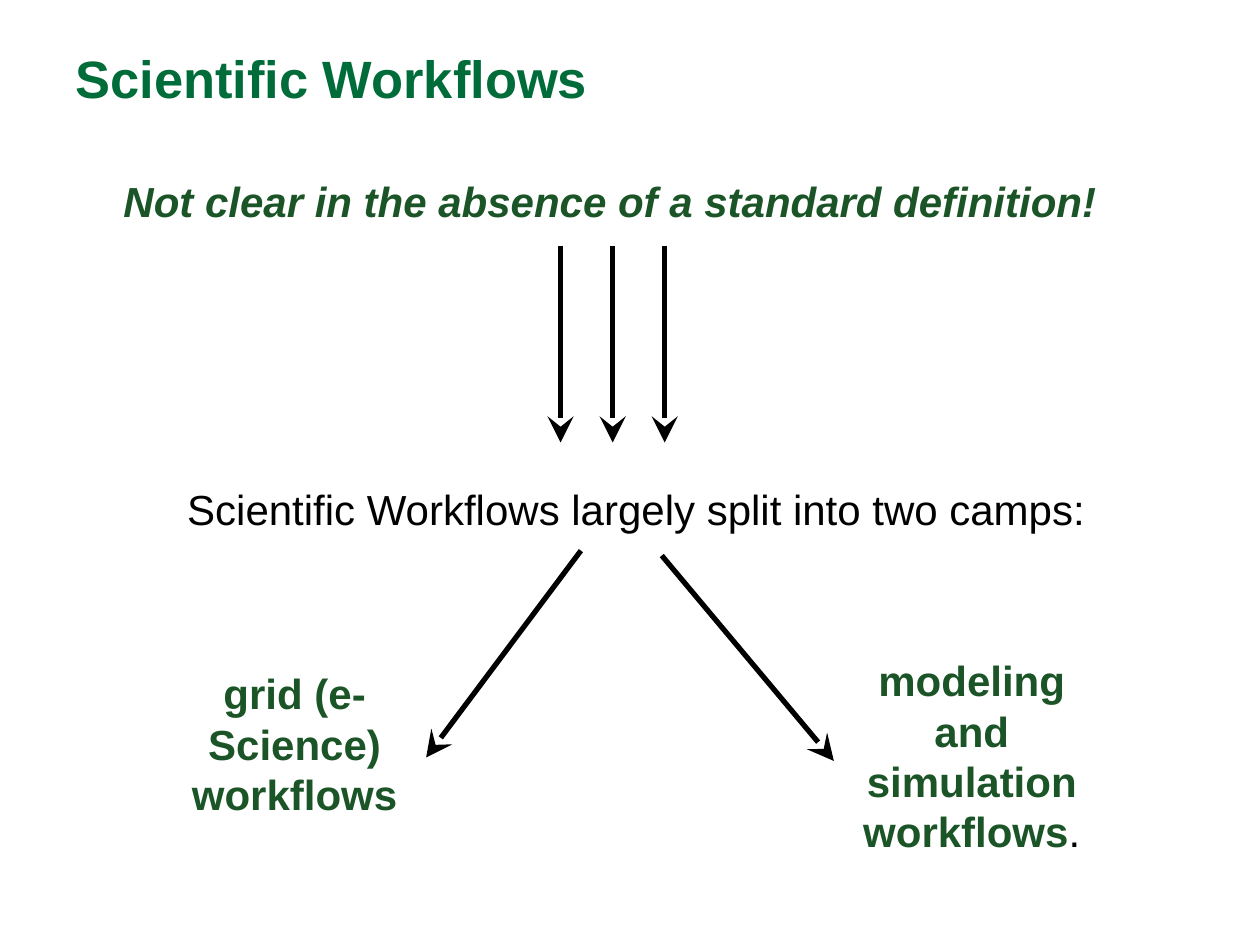
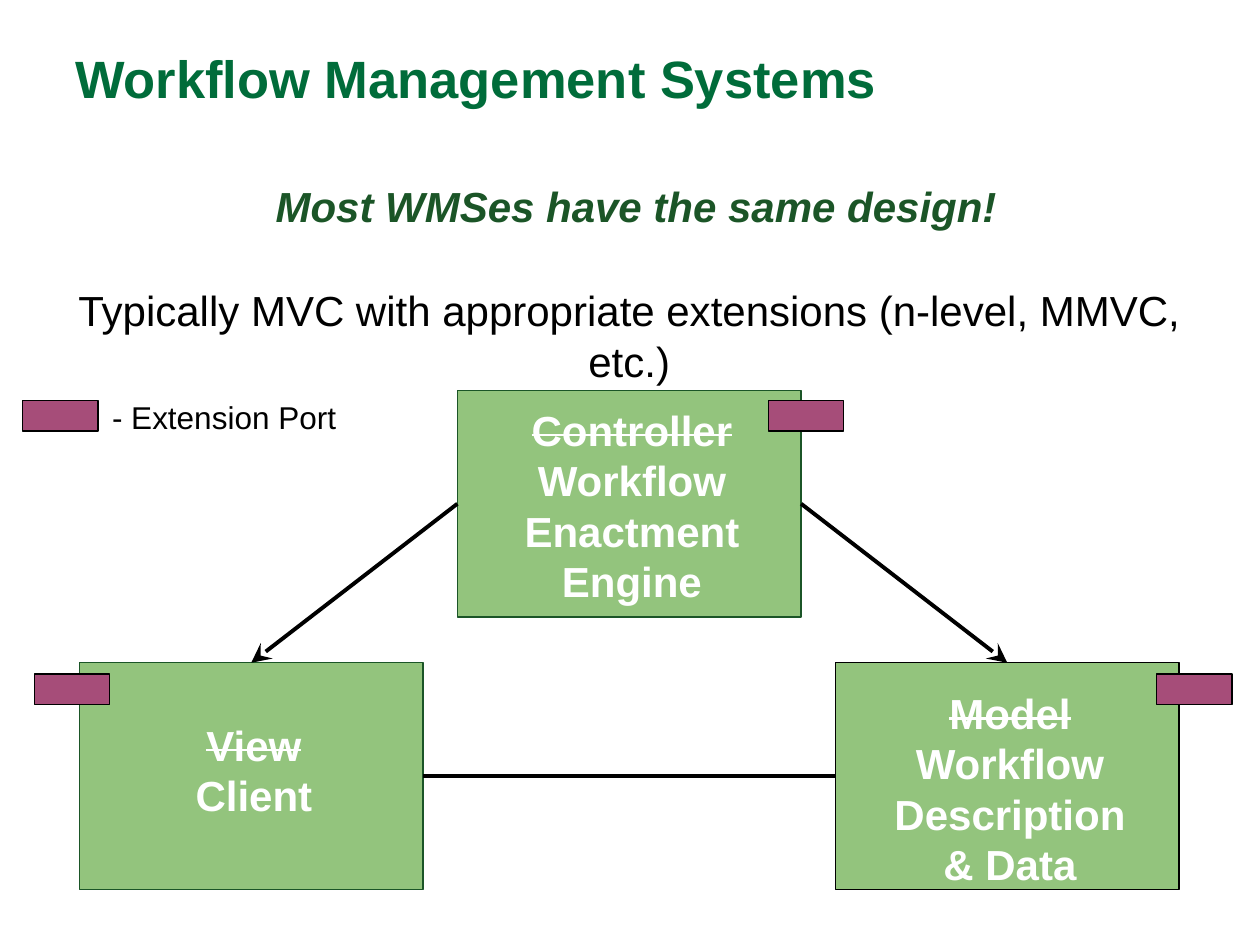
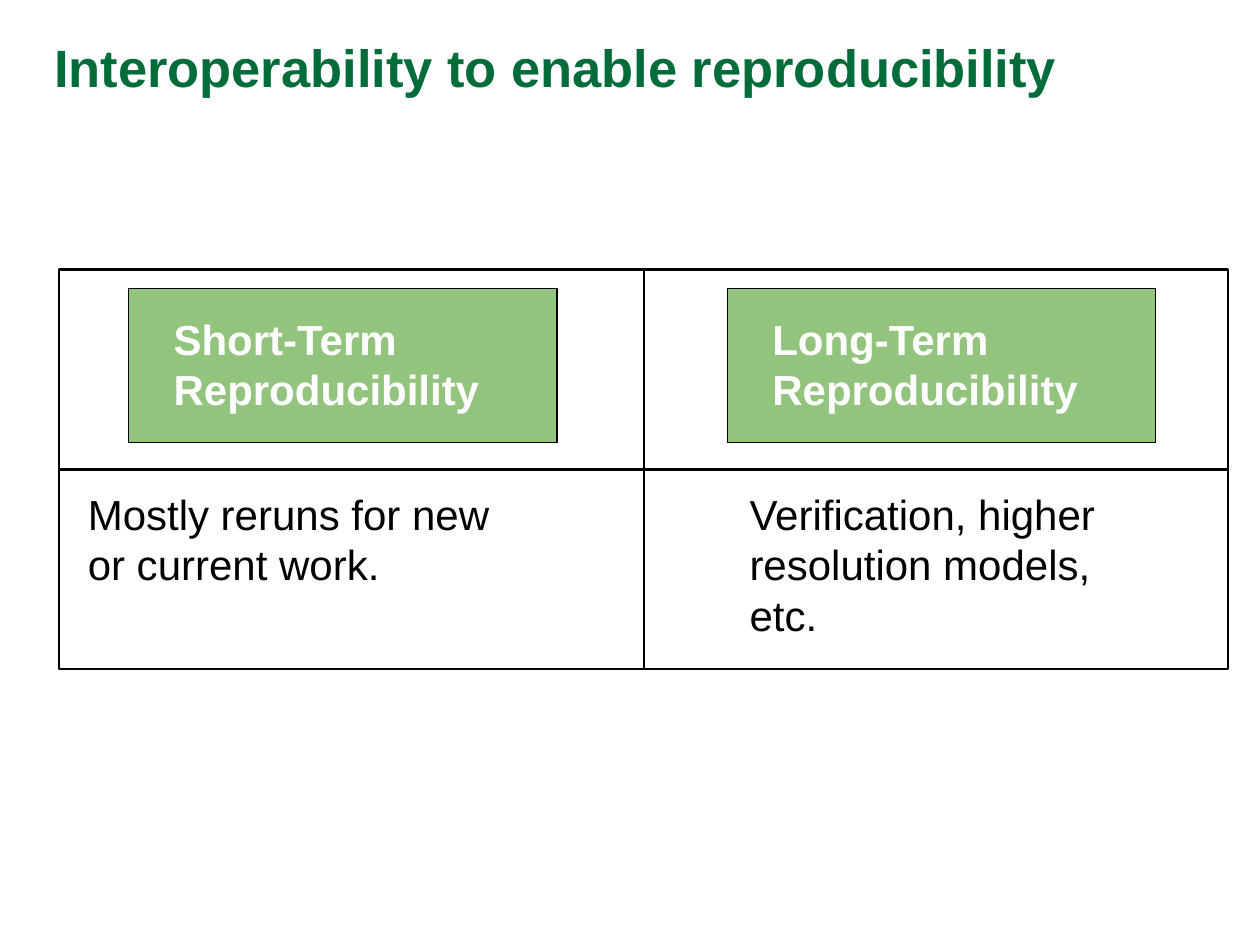
from lxml.etree import SubElement
from pptx import Presentation
from pptx.dml.color import RGBColor
from pptx.enum.shapes import MSO_CONNECTOR as Link, MSO_SHAPE as Shape
from pptx.enum.text import PP_ALIGN as Align
from pptx.oxml.ns import qn
from pptx.util import Cm, Pt

rgb = RGBColor.from_string
LEAF, PLUM, PINE, INK = "93C47D", "A64D79", "1B5527", "000000"
TOP, LEFT, RIGHT = 0, 1, 3
MID = Align.CENTER

# Text looks: size, colour, bold, italic, struck
LOOKS = {
    "title": (30, "006C3A", True, False, False),
    "claim": (24, PINE, True, True, False),
    "key": (24, PINE, True, False, False),
    "plain": (24, INK, False, False, False),
    "small": (18, INK, False, False, False),
    "block": (24, "FFFFFF", True, False, False),
    "old": (24, "FFFFFF", True, False, True),
}

# Boxes: name -> (left, top, width, height, fill, line colour, line width)
# Lines: (start, end, width, arrow); an end is a point or a (box, side)
# Texts: (left, top, width, height, align, paragraphs of (text, look, ...))
camps = {
    "title": ("Scientific Workflows", 1.27, 0.79),
    "boxes": {},
    "lines": [((11.3 + 1.05 * i, 4.95), (11.3 + 1.05 * i, 8.92), 3, True)
              for i in range(3)]
    + [((11.71, 11.1), (8.59, 15.27), 3, True),
       ((13.34, 11.2), (16.81, 15.34), 3, True)],
    "texts": [
        (2.24, 3.28, 20.83, 1.68, None,
         [("Not clear in the absence of a standard definition!", "claim")]),
        (1.52, 9.5, 22.61, 1.9, MID,
         [("Scientific Workflows largely split into two camps:", "plain")]),
        (3.3, 13.21, 5.28, 4.11, MID, [("grid (e-Science) workflows", "key")]),
        (16.81, 12.95, 5.56, 4.8, MID,
         [("modeling and simulation workflows", "key", ".", "plain")]),
    ],
}

block, port = (6.93, 4.57, LEAF), (1.52, 0.61, PLUM, INK, 0.75)
systems = {
    "title": ("Workflow Management Systems", 1.27, 0.79),
    "boxes": {
        "model": (16.84, 13.36, *block, INK, 0.75),
        "engine": (9.22, 7.87, *block, PINE, 0.75),
        "view": (1.6, 13.36, *block, PINE, 0.75),
        "engine port": (15.49, 8.08, *port),
        "view port": (0.69, 13.59, *port),
        "model port": (23.32, 13.59, *port),
        "key port": (0.46, 8.08, *port),
    },
    "lines": [
        (("engine", LEFT), ("view", TOP), 2.25, True),
        (("view", RIGHT), ("model", LEFT), 2.25, False),
        (("engine", RIGHT), ("model", TOP), 2.25, True),
    ],
    "texts": [
        (1.52, 3.38, 22.61, 1.75, MID,
         [("Most WMSes have the same design!", "claim")]),
        (0.43, 5.49, 24.51, 1.75, MID,
         [("Typically MVC with appropriate extensions (n-level, MMVC, etc.)",
           "plain")]),
        (9.88, 7.9, 5.72, 4.42, MID,
         [("Controller", "old"), ("Workflow Enactment Engine", "block")]),
        (2.26, 14.25, 5.72, 2.64, MID,
         [("View", "old"), ("Client", "block")]),
        (17.5, 13.61, 5.72, 4.32, MID,
         [("Model", "old"), ("Workflow Description & Data", "block")]),
        (2.01, 7.77, 6.17, 1.24, None, [("- Extension Port", "small")]),
    ],
}

card = (8.64, 3.1, LEAF, INK, 0.75)
terms = {
    "title": ("Interoperability to enable reproducibility", 0.84, 0.58),
    "boxes": {
        "frame": (1.19, 5.44, 23.57, 8.05, None, INK, 1.5),
        "short": (2.59, 5.82, *card),
        "long": (14.66, 5.82, *card),
    },
    "lines": [
        ((12.98, 5.44), (12.98, 13.49), 1.5, False),
        ((1.19, 9.47), (24.76, 9.47), 1.5, False),
    ],
    "texts": [
        (3.25, 6.07, 7.54, 2.69, None,
         [("Short-Term Reproducibility", "block")]),
        (15.32, 6.07, 7.54, 2.69, None,
         [("Long-Term Reproducibility", "block")]),
        (1.52, 9.6, 8.64, 4.7, None,
         [("Mostly reruns for new or current work.", "plain")]),
        (14.86, 9.6, 8.64, 4.7, None,
         [("Verification, higher resolution models, etc.", "plain")]),
    ],
}


def write(slide, x, y, w, h, align, paras, pad=0.25):
    """Add a text box whose paragraphs are runs of text and look."""
    frame = slide.shapes.add_textbox(Cm(x), Cm(y), Cm(w), Cm(h)).text_frame
    frame.word_wrap = True
    frame.margin_left = frame.margin_right = Cm(0.25)
    frame.margin_top = frame.margin_bottom = Cm(pad)
    for i, para in enumerate(paras):
        line = frame.add_paragraph() if i else frame.paragraphs[0]
        line.alignment = align
        line.line_spacing = Pt(LOOKS[para[1]][0] * 1.2)
        for text, look in zip(para[::2], para[1::2]):
            run = line.add_run()
            run.text = text
            size, tint, bold, slant, struck = LOOKS[look]
            font = run.font
            font.name, font.size = "Arial", Pt(size)
            font.bold, font.italic = bold, slant
            font.color.rgb = rgb(tint)
            if struck:
                run._r.get_or_add_rPr().set("strike", "sngStrike")


deck = Presentation()
deck.slide_width, deck.slide_height = Cm(25.4), Cm(19.05)

for page in (camps, systems, terms):
    slide = deck.slides.add_slide(deck.slide_layouts[6])
    title, x, y = page["title"]
    write(slide, x, y, 22.86, 1.55, None, [(title, "title")], pad=0.13)

    boxes = {}
    for name, (x, y, w, h, fill, edge, width) in page["boxes"].items():
        box = slide.shapes.add_shape(
            Shape.RECTANGLE, Cm(x), Cm(y), Cm(w), Cm(h))
        box.shadow.inherit = False
        if fill:
            box.fill.solid()
            box.fill.fore_color.rgb = rgb(fill)
        else:
            box.fill.background()
        box.line.color.rgb = rgb(edge)
        box.line.width = Pt(width)
        boxes[name] = box

    for start, end, width, arrow in page["lines"]:
        line = slide.shapes.add_connector(Link.STRAIGHT, 0, 0, 0, 0)
        if start[0] in boxes:
            line.begin_connect(boxes[start[0]], start[1])
            line.end_connect(boxes[end[0]], end[1])
        else:
            line.begin_x, line.begin_y = map(Cm, start)
            line.end_x, line.end_y = map(Cm, end)
        line.line.color.rgb = rgb(INK)
        line.line.width = Pt(width)
        if arrow:
            SubElement(line.line._get_or_add_ln(), qn("a:tailEnd"),
                       type="stealth", w="lg", len="lg")
        SubElement(line._element.spPr, qn("a:effectLst"))

    for text in page["texts"]:
        write(slide, *text)

deck.save("out.pptx")
